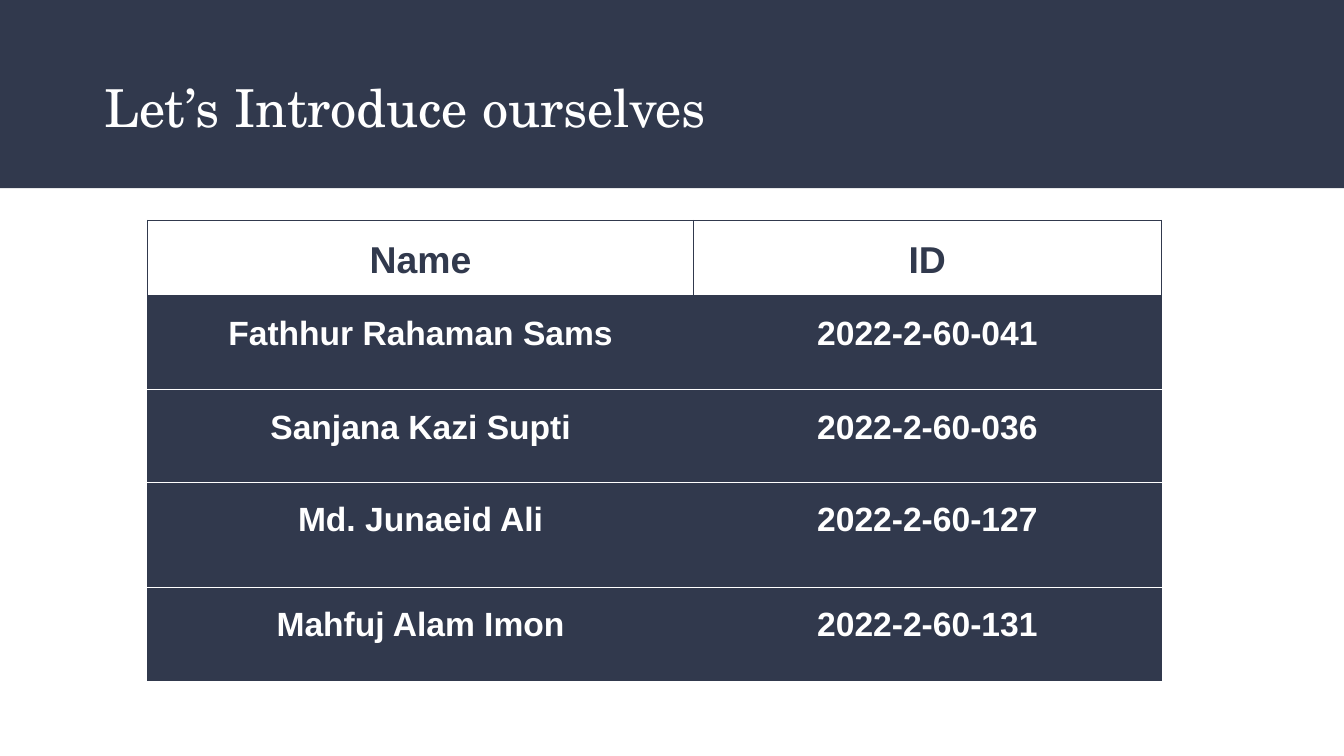
"""Build a team introduction slide with a title band and a table of names and IDs."""
from lxml.etree import SubElement
from pptx import Presentation
from pptx.dml.color import RGBColor
from pptx.enum.shapes import MSO_SHAPE as SHAPE
from pptx.enum.text import MSO_ANCHOR as ANCHOR, MSO_AUTO_SIZE as AUTO, PP_ALIGN as ALIGN
from pptx.oxml.ns import qn
from pptx.util import Inches, Pt

COLORS = {"navy": "31394D", "white": "FFFFFF"}
WIDTH = 10
HEIGHT = WIDTH * 9 / 16
BAND_HEIGHT = 1.4
TITLE_LEFT, TITLE_TOP, TITLE_HEIGHT = 0.68, 0.45, 0.68
TABLE_LEFT, TABLE_TOP = 1.1, 1.64
COLUMNS = [4.06, 3.48]
ROWS = [0.56, 0.7, 0.69, 0.78, 0.69]
MEMBERS = [
    ("Name", "ID"),
    ("Fathhur Rahaman Sams", "2022-2-60-041"),
    ("Sanjana Kazi Supti", "2022-2-60-036"),
    ("Md. Junaeid Ali", "2022-2-60-127"),
    ("Mahfuj Alam Imon", "2022-2-60-131"),
]


def rgb(name):
    return RGBColor.from_string(COLORS[name])


def add_run(p, text, font, size, color, bold=False):
    r = p.add_run()
    r.text = text
    r.font.name, r.font.size, r.font.bold = font, Pt(size), bold
    r.font.color.rgb = rgb(color)


def add_title(slide, text):
    sp = slide.shapes.title
    sp.left, sp.top = Inches(TITLE_LEFT), Inches(TITLE_TOP)
    sp.width, sp.height = Inches(WIDTH - TITLE_LEFT), Inches(TITLE_HEIGHT)
    tf = sp.text_frame
    tf.auto_size, tf.word_wrap, tf.vertical_anchor = AUTO.NONE, True, ANCHOR.MIDDLE
    tf.margin_left = tf.margin_right = tf.margin_top = tf.margin_bottom = Inches(0.1)
    p = tf.paragraphs[0]
    p.alignment = ALIGN.LEFT
    add_run(p, text, "TeX Gyre Schola", 28, "white")
    return sp


def add_band(slide, title):
    sp = slide.shapes.add_shape(SHAPE.RECTANGLE, 0, 0, Inches(WIDTH), Inches(BAND_HEIGHT))
    sp.shadow.inherit = False
    sp.fill.solid()
    sp.fill.fore_color.rgb = rgb("navy")
    sp.line.fill.background()
    title._element.addprevious(sp._element)


def set_borders(cell, top, bottom):
    tc_pr = cell._tc.get_or_add_tcPr()
    sides = {"L": "navy", "R": "navy", "T": top, "B": bottom}
    for side, color in sides.items():
        ln = SubElement(tc_pr, qn(f"a:ln{side}"), w=str(Pt(0.75)))
        fill = SubElement(ln, qn("a:solidFill"))
        SubElement(fill, qn("a:srgbClr"), val=COLORS[color])


def fill_cell(cell, text, row):
    header, last = row == 0, row == len(ROWS) - 1
    set_borders(cell, "navy" if row < 2 else "white", "navy" if header or last else "white")
    cell.fill.solid()
    cell.fill.fore_color.rgb = rgb("white" if header else "navy")
    cell.margin_left = cell.margin_right = Inches(0.07)
    cell.margin_top = cell.margin_bottom = Inches(0.1)
    p = cell.text_frame.paragraphs[0]
    p.alignment, p.line_spacing = ALIGN.CENTER, 1.15
    add_run(p, text, "Arial", 20 if header else 18, "navy" if header else "white", True)


def add_members_table(slide):
    frame = slide.shapes.add_table(
        len(ROWS), len(COLUMNS), Inches(TABLE_LEFT), Inches(TABLE_TOP),
        Inches(sum(COLUMNS)), Inches(sum(ROWS)))
    table = frame.table
    for column, width in zip(table.columns, COLUMNS):
        column.width = Inches(width)
    for i, (row, height) in enumerate(zip(table.rows, ROWS)):
        row.height = Inches(height)
        for cell, text in zip(row.cells, MEMBERS[i]):
            fill_cell(cell, text, i)


def main():
    prs = Presentation()
    prs.slide_width, prs.slide_height = Inches(WIDTH), Inches(HEIGHT)
    slide = prs.slides.add_slide(prs.slide_layouts[5])
    title = add_title(slide, "Let’s Introduce ourselves")
    add_band(slide, title)
    add_members_table(slide)
    prs.save("out.pptx")


if __name__ == "__main__":
    main()
